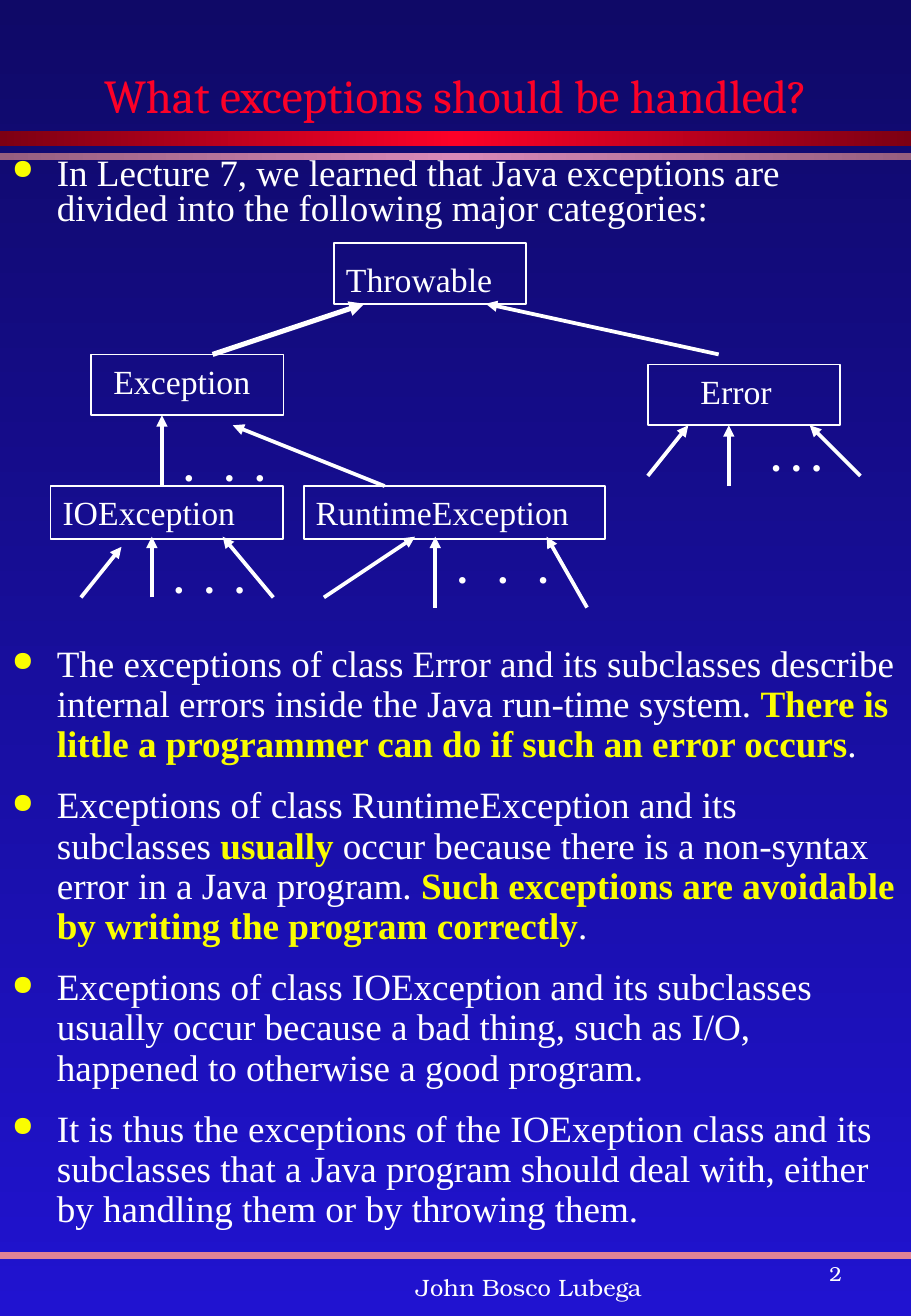
from lxml.etree import SubElement
from copy import deepcopy
from pptx import Presentation
from pptx.dml.color import RGBColor
from pptx.enum.shapes import MSO_CONNECTOR as Line, MSO_SHAPE as Shape
from pptx.enum.text import MSO_ANCHOR as Anchor, PP_ALIGN as Align
from pptx.oxml.ns import qn
from pptx.util import Inches, Pt

WIDTH, HEIGHT = 7.5, 10.83
CELL = 1 / 12  # inches per step of the diagram grid
WHITE, YELLOW, RED = "FFFFFF", "FAFD00", "FC0128"
SERIF, FOOTER_FONT = "Times New Roman", "TeX Gyre Bonum"

# label, column, row, columns, rows, label offset in columns and rows
CLASSES = [
    ("Throwable", 33, 24, 19, 6, 0, 1),
    ("Exception", 9, 35, 19, 6, 1, 0),
    ("Error", 64, 36, 19, 6, 4, 0),
    ("RuntimeException", 30, 48, 29.75, 5.25, 0, 0),
    ("IOException", 5, 48, 23, 5.25, 0, 0),
]
# from column, from row, to column, to row, line width
INHERITANCE = [
    (21, 35, 36, 30, 3),
    (71, 35, 48, 30, 2.25),
    (16, 48, 16, 41, 2.25),
    (38, 48, 23, 42, 2.25),
    (64, 47, 68, 42, 2.25),
    (72, 48, 72, 42, 2.25),
    (85, 47, 80, 42, 2.25),
    (8, 59, 12, 54, 2.25),
    (15, 59, 15, 53, 2.25),
    (27, 59, 22, 53, 2.25),
    (32, 59, 41, 53, 2.25),
    (43, 60, 43, 53, 2.25),
    (58, 60, 54, 53, 2.25),
]
# column, row, columns from the first dot to the second and third
MORE_SUBCLASSES = [(75, 42, 2, 4), (17, 43, 4, 7), (16, 54, 3, 6), (44, 53, 4, 8)]

INTRO = [[("In Lecture 7, we learned that Java exceptions are divided into "
           "the following major categories:", False)]]
ADVICE = [
    [("The exceptions of class Error and its subclasses describe internal "
      "errors inside the Java run-time system. ", False),
     ("There is little a programmer can do if such an error occurs", True),
     (".", False)],
    [("Exceptions of class RuntimeException and its subclasses ", False),
     ("usually", True),
     (" occur because there is a non-syntax error in a Java program. ", False),
     ("Such exceptions are avoidable by writing the program correctly", True),
     (".", False)],
    [("Exceptions of class IOException and its subclasses usually occur because "
      "a bad thing, such as I/O, happened to otherwise a good program.", False)],
    [("It is thus the exceptions of the IOExeption class and its subclasses that "
      "a Java program should deal with, either by handling them or by throwing "
      "them.", False)],
]


def rgb(hex_colour):
    return RGBColor.from_string(hex_colour)


def inches(box):
    return [Inches(length) for length in box]


def add_run(paragraph, text, size, font=SERIF, colour=WHITE, bold=False):
    run = paragraph.add_run()
    run.text = text
    run.font.size, run.font.name, run.font.bold = Pt(size), font, bold
    run.font.color.rgb = rgb(colour)


def add_text_frame(slide, box, wrap=True, anchor=Anchor.TOP):
    frame = slide.shapes.add_textbox(*inches(box)).text_frame
    frame.word_wrap, frame.vertical_anchor = wrap, anchor
    return frame


def add_centred_line(slide, box, text, size, font, colour=WHITE, anchor=Anchor.TOP):
    paragraph = add_text_frame(slide, box, anchor=anchor).paragraphs[0]
    paragraph.alignment = Align.CENTER
    add_run(paragraph, text, size, font, colour)


def add_line(slide, start, end, colour, width, arrow=False):
    line = slide.shapes.add_connector(Line.STRAIGHT, *inches(start + end))
    line.line.color.rgb, line.line.width = rgb(colour), Pt(width)
    if arrow:
        SubElement(line.line._get_or_add_ln(), qn("a:tailEnd"), type="triangle")
    SubElement(line._element.spPr, qn("a:effectLst"))


def set_gradient(fill, colours, angle):
    fill.gradient_angle = angle
    for stop, colour in zip(fill.gradient_stops, colours):
        stop.color.rgb = rgb(colour)


def add_band(slide, box, edge, middle):
    """Bar that is dark at both ends and bright in the middle."""
    band = slide.shapes.add_shape(Shape.RECTANGLE, *inches(box))
    band.shadow.inherit = False
    band.line.fill.background()
    band.fill.gradient()
    stops = band._element.spPr.find(qn("a:gradFill")).find(qn("a:gsLst"))
    centre = deepcopy(stops[0])
    centre.set("pos", "50000")
    stops.insert(1, centre)
    set_gradient(band.fill, [edge, middle, edge], 0)


def add_header(slide, box):
    left, top, width, height = box
    add_band(slide, (left, top + height + 0.02, width, 0.12), "7D0013", RED)
    add_band(slide, (left, top + height + 0.2, width, 0.06), "965F7F", "D989B8")
    add_centred_line(slide, box, "What exceptions should be handled?", 28,
                     "Cambria", RED, Anchor.BOTTOM)


def add_footer(slide, box):
    left, top, width, height = box
    add_line(slide, (left, top), (left + width, top), "E18295", 4)
    add_centred_line(slide, (left + 0.88 * width, top, 0.56, 0.3), "2", 12, FOOTER_FONT)
    add_centred_line(slide, (left + 3.17, top + 0.02, 2.37, height - 0.02),
                     "John Bosco Lubega", 14, FOOTER_FONT, anchor=Anchor.MIDDLE)


def add_bullets(slide, box, items, line_spacing):
    frame = add_text_frame(slide, box)
    for index, runs in enumerate(items):
        paragraph = frame.add_paragraph() if index else frame.paragraphs[0]
        paragraph.line_spacing = line_spacing
        if index:
            paragraph.space_before = Pt(12.75)
        properties = paragraph._p.get_or_add_pPr()
        properties.set("marL", str(Inches(0.37)))
        properties.set("indent", str(-Inches(0.37)))
        bullet_colour = SubElement(properties, qn("a:buClr"))
        SubElement(bullet_colour, qn("a:srgbClr"), val=YELLOW)
        SubElement(properties, qn("a:buSzPct"), val="75000")
        SubElement(properties, qn("a:buChar"), char="●")
        for text, stressed in runs:
            add_run(paragraph, text, 22, colour=YELLOW if stressed else WHITE,
                    bold=stressed)


def add_class(slide, box, label, indent, drop):
    rectangle = slide.shapes.add_shape(Shape.RECTANGLE, *inches(box))
    rectangle.shadow.inherit = False
    rectangle.fill.background()
    rectangle.line.color.rgb, rectangle.line.width = rgb(WHITE), Pt(1)
    frame = rectangle.text_frame
    frame.word_wrap, frame.vertical_anchor = False, Anchor.TOP
    frame.margin_left, frame.margin_top = Inches(0.1 + indent), Inches(0.05 + drop)
    frame.paragraphs[0].alignment = Align.LEFT
    add_run(frame.paragraphs[0], label, 20)


def add_dots(slide, box, tab_stops):
    paragraph = add_text_frame(slide, box, wrap=False).paragraphs[0]
    tabs = SubElement(paragraph._p.get_or_add_pPr(), qn("a:tabLst"))
    for stop in tab_stops:
        SubElement(tabs, qn("a:tab"), pos=str(Inches(stop)), algn="l")
    add_run(paragraph, ".\t.\t.", 24, bold=True)


def add_class_tree(slide, left, top):
    def at(column, row):
        return left + column * CELL, top + row * CELL

    for label, column, row, columns, rows, indent, drop in CLASSES:
        add_class(slide, at(column, row) + (columns * CELL, rows * CELL),
                  label, indent * CELL, drop * CELL)
    for start_column, start_row, end_column, end_row, width in INHERITANCE:
        add_line(slide, at(start_column, start_row), at(end_column, end_row),
                 WHITE, width, arrow=True)
    for column, row, second, third in MORE_SUBCLASSES:
        add_dots(slide, at(column, row) + ((third + 4) * CELL, 6 * CELL),
                 [second * CELL, third * CELL])


def main():
    deck = Presentation()
    deck.slide_width, deck.slide_height = Inches(WIDTH), Inches(HEIGHT)
    slide = deck.slides.add_slide(deck.slide_layouts[6])
    background = slide.background.fill
    background.gradient()
    set_gradient(background, ["0F0967", "2013D0"], 270)

    add_header(slide, (0, 0, WIDTH, 1.06))
    add_footer(slide, (0, 10.33, WIDTH, 0.5))
    add_bullets(slide, (0, 1.25, WIDTH, 0.7), INTRO, 0.8)
    add_class_tree(slide, 0, 0)
    add_bullets(slide, (0, 5.26, WIDTH, 5), ADVICE, 0.9)
    deck.save("out.pptx")


if __name__ == "__main__":
    main()
